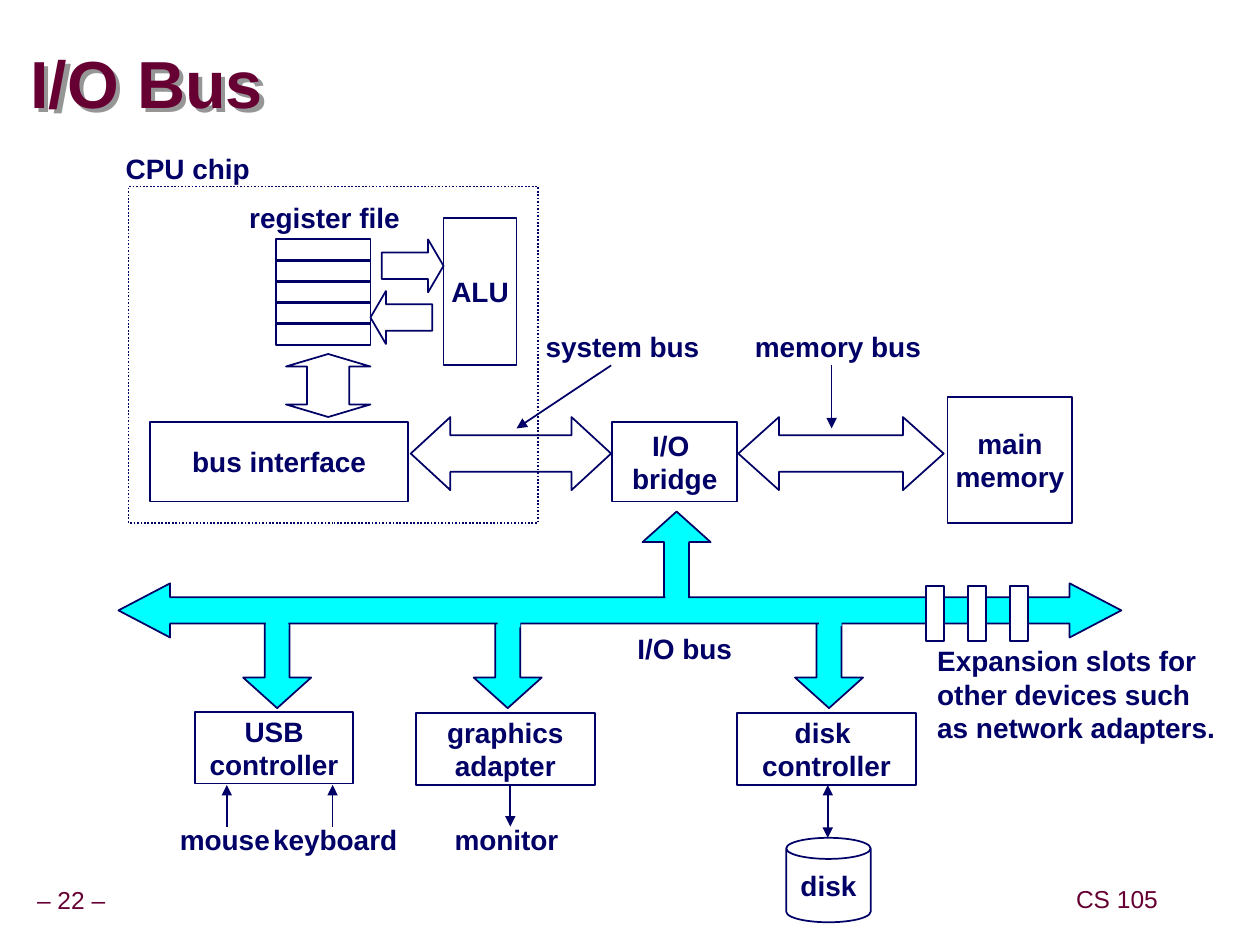
from dataclasses import dataclass
from typing import NamedTuple, Optional

from lxml import etree
from pptx import Presentation, util as u
from pptx.dml.color import RGBColor
from pptx.enum import dml, shapes, text
from pptx.oxml.ns import qn

Kind = shapes.MSO_SHAPE
Align = text.PP_ALIGN
Mid = text.MSO_ANCHOR.MIDDLE


@dataclass(frozen=True)
class Theme:
    font: str = "Arial"
    ink: str = "000066"
    wine: str = "660033"
    bus: str = "00FFFF"
    slot: str = "FFFFFF"
    shade: str = "969696"
    head: float = 38
    body: float = 16
    foot: float = 14
    line: float = 1


T = Theme()


class Part(NamedTuple):
    """A preset shape with optional words inside."""
    kind: Kind
    x: float
    y: float
    w: float
    h: float
    words: str = ""
    fill: Optional[str] = None
    adj: tuple = ()
    line: bool = True
    dash: bool = False


class Label(NamedTuple):
    words: str
    x: float
    y: float
    w: float
    h: float = 0.37


class Link(NamedTuple):
    start: tuple
    end: tuple
    head: bool = False
    tail: bool = False


def put(frame, words: str, *, size: float = T.body, color: str = T.ink,
        bold: bool = True, align=Align.CENTER, anchor=Mid, wrap: bool = False,
        pads: tuple = (0.1, 0.05), space: Optional[float] = None) -> None:
    """Fill a text frame and format every line of it."""
    frame.text = words
    frame.word_wrap = wrap
    frame.vertical_anchor = anchor
    frame.auto_size = text.MSO_AUTO_SIZE.NONE
    frame.margin_left = frame.margin_right = u.Inches(pads[0])
    frame.margin_top = frame.margin_bottom = u.Inches(pads[1])
    for para in frame.paragraphs:
        para.alignment = align
        if space:
            para.line_spacing = space
        for run in para.runs:
            font = run.font
            font.name, font.size, font.bold = T.font, u.Pt(size), bold
            font.color.rgb = RGBColor.from_string(color)


def adjust(box, vals: tuple) -> None:
    """Write the shape guides by name, in the order adj1, adj2."""
    guides = box._element.spPr.find(qn("a:prstGeom")).find(qn("a:avLst"))
    for old in list(guides):
        guides.remove(old)
    for i, val in enumerate(vals, 1):
        name = f"adj{i}" if len(vals) > 1 else "adj"
        etree.SubElement(guides, qn("a:gd"), name=name,
                         fmla=f"val {round(val * 100000)}")


def draw(slide, part: Part) -> None:
    box = slide.shapes.add_shape(part.kind, *map(u.Inches, part[1:5]))
    box.shadow.inherit = False
    if part.adj:
        adjust(box, part.adj)
    if part.fill:
        box.fill.solid()
        box.fill.fore_color.rgb = RGBColor.from_string(part.fill)
    else:
        box.fill.background()
    if part.line:
        box.line.color.rgb = RGBColor.from_string(T.ink)
        box.line.width = u.Pt(T.line)
        if part.dash:
            box.line.dash_style = dml.MSO_LINE.ROUND_DOT
    else:
        box.line.fill.background()
    if part.words:
        put(box.text_frame, part.words)


def note(slide, label: Label, **form) -> None:
    box = slide.shapes.add_textbox(*map(u.Inches, label[1:]))
    put(box.text_frame, label.words, **form)


def join(slide, link: Link) -> None:
    wire = slide.shapes.add_connector(
        shapes.MSO_CONNECTOR.STRAIGHT, *map(u.Inches, link.start + link.end))
    wire.line.color.rgb = RGBColor.from_string(T.ink)
    wire.line.width = u.Pt(T.line)
    line = wire.line._get_or_add_ln()
    for tag, shown in (("a:headEnd", link.head), ("a:tailEnd", link.tail)):
        if shown:
            etree.SubElement(line, qn(tag), type="triangle")
    etree.SubElement(wire._element.spPr, qn("a:effectLst"))


def add_title(slide, words: str) -> None:
    title = slide.shapes.title
    title.left, title.top = u.Inches(0.24), u.Inches(0.27)
    title.width, title.height = u.Inches(8.07), u.Inches(0.85)
    put(title.text_frame, words, size=T.head, color=T.wine, align=Align.LEFT,
        wrap=True, pads=(0, 0), space=0.87)
    # With no fill, the shadow of the shape falls from its text
    title.fill.background()
    glow = etree.SubElement(title._element.spPr, qn("a:effectLst"))
    cast = etree.SubElement(glow, qn("a:outerShdw"), dist=str(u.Inches(0.05)),
                            dir="2700000", algn="ctr", rotWithShape="0")
    etree.SubElement(cast, qn("a:srgbClr"), val=T.shade)


BOX, WIDE = Kind.RECTANGLE, Kind.LEFT_RIGHT_ARROW
STEM = (0.367, 0.449)

CHIP = [
    Part(BOX, 7.52, 3.15, 0.99, 1, "main\nmemory"),
    Part(WIDE, 5.86, 3.31, 1.63, 0.58, adj=(0.5, 0.557)),
    Part(BOX, 4.86, 3.35, 0.99, 0.63, "I/O \nbridge"),
    Part(WIDE, 3.26, 3.31, 1.59, 0.58, adj=(0.5, 0.542)),
    Part(BOX, 1.19, 3.35, 2.05, 0.63, "bus interface"),
    *[Part(BOX, 2.19, 1.9 + i / 6, 0.75, 0.17) for i in range(5)],
    Part(Kind.RIGHT_ARROW, 3.03, 1.9, 0.49, 0.42, adj=(0.5, 0.292)),
    Part(Kind.LEFT_ARROW, 2.94, 2.31, 0.49, 0.42, adj=(0.5, 0.292)),
    Part(BOX, 3.52, 1.73, 0.58, 1.17, "ALU"),
    Part(Kind.UP_DOWN_ARROW, 2.27, 2.81, 0.67, 0.5, adj=(0.5, 0.199)),
    Part(BOX, 1.02, 1.48, 3.25, 2.67, dash=True),
]

DISK = [
    Part(BOX, 5.85, 5.66, 1.42, 0.57, "disk \ncontroller"),
    Part(BOX, 3.3, 5.66, 1.42, 0.57, "graphics\nadapter"),
    Part(BOX, 1.55, 5.65, 1.25, 0.57, "USB\ncontroller"),
    Part(Kind.CAN, 6.24, 6.65, 0.67, 0.67, "disk", adj=(0.25,)),
]

# Stems come first, then the bus, then patches that hide the seams
BUS = [
    Part(Kind.UP_ARROW, 5.1, 4.06, 0.54, 0.75, fill=T.bus, adj=STEM),
    *[Part(Kind.DOWN_ARROW, x, 4.87, 0.54, 0.75, fill=T.bus, adj=STEM)
      for x in (6.31, 3.76, 1.93)],
    Part(WIDE, 0.94, 4.63, 7.96, 0.43, fill=T.bus, adj=(0.486, 0.955)),
    *[Part(BOX, x, y, 0.18, 0.17, fill=T.bus, line=False)
      for x, y in ((2.11, 4.82), (3.95, 4.81), (6.5, 4.8), (5.28, 4.73))],
    *[Part(BOX, 7.35 + i / 3, 4.65, 0.14, 0.44, fill=T.slot) for i in range(3)],
]

LABELS = [
    Label("register file", 1.88, 1.54, 1.39),
    Label("CPU chip", 0.9, 1.15, 1.18),
    Label("system bus", 4.23, 2.56, 1.42),
    Label("memory bus", 5.89, 2.56, 1.52),
    Label("mouse", 1.33, 6.48, 0.91),
    Label("keyboard", 2.07, 6.48, 1.18),
    Label("monitor", 3.51, 6.48, 1.02),
    Label("I/O bus", 4.96, 4.96, 0.95),
]

LINKS = [
    Link((4.85, 2.9), (4.1, 3.4), tail=True),
    Link((6.6, 2.9), (6.6, 3.4), tail=True),
    Link((1.8, 6.23), (1.8, 6.56), head=True),
    Link((2.64, 6.23), (2.64, 6.56), head=True),
    Link((4.05, 6.23), (4.05, 6.56), tail=True),
    Link((6.57, 6.23), (6.57, 6.65), head=True, tail=True),
]

FOOT = [Label("– 22 –", -0.09, 7, 1.31, 0.31),
        Label("CS 105", 8.49, 6.99, 0.75, 0.31)]
SLOTS = Label("Expansion slots for\nother devices such\nas network adapters.",
              7.34, 5.06, 2.4, 1.17)


def main() -> None:
    deck = Presentation()
    deck.slide_width, deck.slide_height = u.Inches(10), u.Inches(7.5)
    slide = deck.slides.add_slide(deck.slide_layouts[5])
    add_title(slide, "I/O Bus")
    for label in FOOT:
        note(slide, label, size=T.foot, color=T.wine, bold=False,
             pads=(0.05, 0.05), space=0.9)
    for part in CHIP + DISK + BUS:
        draw(slide, part)
    for link in LINKS:
        join(slide, link)
    for label in LABELS:
        note(slide, label)
    note(slide, SLOTS, align=Align.LEFT, anchor=text.MSO_ANCHOR.TOP)
    deck.save("out.pptx")


if __name__ == "__main__":
    main()
